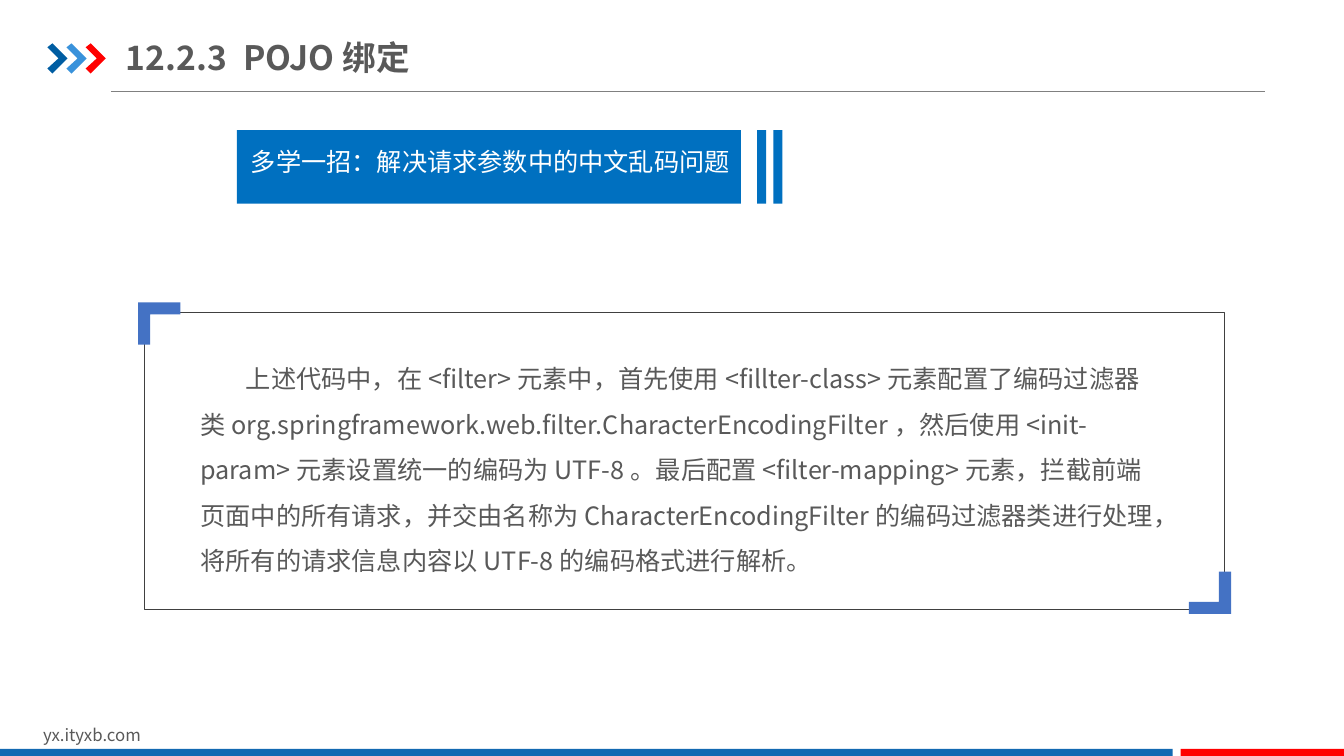
import pptx
import pptx.util
import pptx.dml.color
import pptx.enum.shapes
import pptx.enum.text
import pptx.oxml.ns
from lxml import etree

Inches = pptx.util.Inches
Pt = pptx.util.Pt
KIND = pptx.enum.shapes.MSO_SHAPE
ALIGN = pptx.enum.text.PP_ALIGN
ANCHOR = pptx.enum.text.MSO_ANCHOR
qn = pptx.oxml.ns.qn

HEX = {
    "navy": "005DA2", "sky": "3992DB", "red": "FF0000", "foot": "1369B2",
    "banner": "0070C0", "corner": "4472C4", "text": "595959",
    "rule": "808080", "frame": "404040", "white": "FFFFFF",
}
COLOR = {name: pptx.dml.color.RGBColor.from_string(code) for name, code in HEX.items()}
CJK = "Noto Sans CJK SC"

deck = pptx.Presentation()
deck.slide_width, deck.slide_height = Inches(13.33), Inches(7.5)
slide = deck.slides.add_slide(deck.slide_layouts[6])
shapes = slide.shapes


def paint(shape, color):
    shape.shadow.inherit = False
    shape.fill.solid()
    shape.fill.fore_color.rgb = COLOR[color]
    shape.line.fill.background()


def write(box, runs, size, color="text", font=CJK, bold=False, wrap=True):
    frame = box.text_frame
    frame.word_wrap = wrap
    para = frame.paragraphs[0]
    for text in runs:
        run = para.add_run()
        run.text = text
        run.font.size = Pt(size)
        run.font.bold = bold
        run.font.name = font
        run.font.color.rgb = COLOR[color]
        east = etree.SubElement(run.font._element, qn("a:ea"))
        east.set("typeface", CJK)
    return para


# Rule under the title
rule = shapes.add_connector(pptx.enum.shapes.MSO_CONNECTOR.STRAIGHT,
                            Inches(1.1), Inches(0.91), Inches(12.55), Inches(0.91))
rule.line.color.rgb = COLOR["rule"]
rule.line.width = Pt(0.5)
etree.SubElement(rule._element.spPr, qn("a:effectLst"))

# Three chevrons
chevron = [(0, 0.04), (0.05, 0), (0.2, 0.15), (0.05, 0.3), (0, 0.25), (0.11, 0.15)]
for i, color in enumerate(["navy", "sky", "red"]):
    left = 0.47 + i * 0.19
    points = [(Inches(left + x), Inches(0.43 + y)) for x, y in chevron]
    pen = shapes.build_freeform(*points[0])
    pen.add_line_segments(points[1:], close=True)
    paint(pen.convert_to_shape(), color)

# Footer bars, banner and its two stripes
bars = [
    (0, 7.43, 11.63, 0.09, "foot"),
    (11.71, 7.43, 1.63, 0.09, "red"),
    (2.35, 1.29, 5, 0.73, "banner"),
    (7.51, 1.29, 0.09, 0.73, "banner"),
    (7.67, 1.29, 0.09, 0.73, "banner"),
]
for left, top, width, height, color in bars:
    bar = shapes.add_shape(KIND.RECTANGLE, Inches(left), Inches(top),
                           Inches(width), Inches(height))
    paint(bar, color)

# Site address
site = shapes.add_textbox(Inches(0.33), Inches(7.14), Inches(3.18), Inches(0.3))
write(site, ["yx.ityxb.com"], 12)

# Body text
body = shapes.add_textbox(Inches(1.89), Inches(3.41), Inches(9.71), Inches(2.39))
para = write(body, [
    "上述代码中，在<filter>元素中，首先使用<fillter-class>元素配置了编码过滤器类"
    "org.springframework.web.filter.CharacterEncodingFilter，然后使用<init-param>"
    "元素设置统一的编码为UTF-8。最后配置<filter-mapping>元素，拦截前端页面中的所有请求，"
    "并交由名称为CharacterEncodingFilter的编码过滤器类进行处理，"
    "将所有的请求信息内容以UTF-8的编码格式进行解析。"], 18)
para.line_spacing = 1.5
para._p.get_or_add_pPr().set("indent", str(Inches(0.45)))

# Frame
frame = shapes.add_shape(KIND.ROUNDED_RECTANGLE, Inches(1.43), Inches(3.1),
                         Inches(10.71), Inches(2.94))
frame.adjustments[0] = 0
frame.shadow.inherit = False
frame.fill.background()
frame.line.color.rgb = COLOR["frame"]
frame.line.width = Pt(0.25)

# Corner brackets, the second one turned half round
bracket = [(0, 0), (0.42, 0), (0.42, 0.12), (0.12, 0.12), (0.12, 0.42), (0, 0.42)]
for left, top, sign in [(1.37, 3, 1), (12.21, 6.09, -1)]:
    points = [(Inches(left + sign * x), Inches(top + sign * y)) for x, y in bracket]
    pen = shapes.build_freeform(*points[0])
    pen.add_line_segments(points[1:], close=True)
    paint(pen.convert_to_shape(), "corner")

# Banner text
tip = shapes.add_textbox(Inches(2.39), Inches(1.4), Inches(4.97), Inches(0.4))
para = write(tip, ["多学一招：解决请求参数中的中文乱码问题"], 18, "white", "Arial")
para.alignment = ALIGN.JUSTIFY

# Title, with a widened space after the number
title = shapes.add_textbox(Inches(1.25), Inches(0.29), Inches(4.26), Inches(0.55))
para = write(title, ["12.2.3", " ", "POJO绑定"], 24, bold=True)
para.runs[1].font._element.set("spc", "600")
area = title.text_frame
area.vertical_anchor = ANCHOR.MIDDLE
area.margin_left = area.margin_right = 0
area.margin_top = area.margin_bottom = Inches(0.07)

deck.save("out.pptx")
